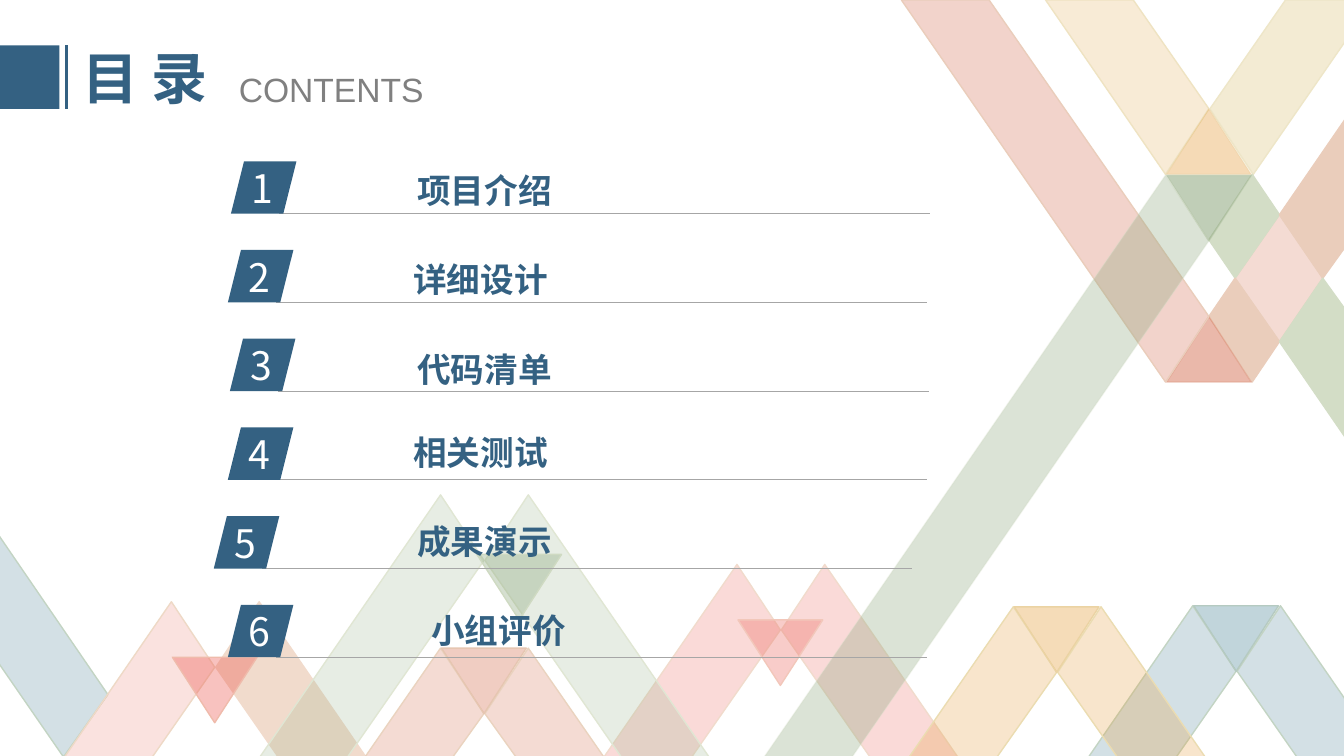
import pptx
import pptx.dml.color
import pptx.enum.shapes
import pptx.enum.text
import pptx.oxml
import pptx.oxml.ns
import pptx.util

Align = pptx.enum.text.PP_ALIGN
Anchor = pptx.enum.text.MSO_ANCHOR
Shape = pptx.enum.shapes.MSO_SHAPE
rgb = pptx.dml.color.RGBColor.from_string

NAVY = rgb("346182")
WHITE = rgb("FFFFFF")
GREY = rgb("808080")
RULE_GREY = rgb("A6A6A6")
SALMON = rgb("EE8F82")
CORAL = rgb("ED6F65")
RED = rgb("ED5249")
RUST = rgb("D57053")
AMBER = rgb("E7B05E")
ORANGE = rgb("E49B35")
MOSS = rgb("88A378")
FERN = rgb("89A67A")
SAGE = rgb("A2B894")
TEAL = rgb("508799")
BEIGE = rgb("F1DBCC")
SAND = rgb("EED9C6")
CREAM = rgb("EFE3C2")
CREAM_EDGE = rgb("EEE6C8")
PEACH = rgb("EACDBB")
RUST_EDGE = rgb("EAD3BF")
RUST_CAP_EDGE = rgb("E6C6B1")
RUST_PEAK_EDGE = rgb("DF9B83")
CORAL_CAP_EDGE = rgb("F2C7BA")
RED_CAP_EDGE = rgb("EFBBAB")
ORANGE_EDGE = rgb("EBDCB1")
ORANGE_CAP_EDGE = rgb("EBD3A3")
ORANGE_PEAK_EDGE = rgb("EBD09D")
MINT = rgb("D3DDC6")
MOSS_CAP_EDGE = rgb("B3C4A5")
FERN_CAP_EDGE = rgb("CFDAC2")
SAGE_EDGE = rgb("E0E6D3")
TEAL_EDGE = rgb("C3D4C3")
TEAL_CAP_EDGE = rgb("B5CAC1")

LEAN = 0.69
BAND = 87
BLEED = 1335
CROSS_X, CROSS_Y = 1156, 276

PEAKS = [
    (170, 597, 754, (SALMON, 25, SAND), (BEIGE, 100, BEIGE), (RED, 35, RED_CAP_EDGE), 1, 55),
    (731, 560, 754, (CORAL, 25, BEIGE), (CORAL, 25, BEIGE), (CORAL, 35, CORAL_CAP_EDGE), 1, 55),
    (437, 491, 755, (SAGE, 25, SAGE_EDGE), (SAGE, 25, SAGE_EDGE), (FERN, 35, FERN_CAP_EDGE), 36, 59),
    (437, 643, 754, (RUST, 25, RUST_EDGE), (RUST, 25, RUST_EDGE), (RUST, 35, RUST_CAP_EDGE), 1, 0),
    (1183, 601, 752, (TEAL, 25, TEAL_EDGE), (TEAL, 25, TEAL_EDGE), (TEAL, 35, TEAL_CAP_EDGE), 1, 0),
    (1005, 602, 755, (ORANGE, 25, ORANGE_EDGE), (ORANGE, 25, ORANGE_EDGE), (ORANGE, 35, ORANGE_CAP_EDGE), 1, 0),
]

CHAPTERS = [
    ("项目介绍", 229, 404, 4, None),
    ("详细设计", 226, 400, 4, None),
    ("代码清单", 228, 404, -15, 1.5),
    ("相关测试", 226, 400, 0, None),
    ("成果演示", 212, 404, 0, None),
    ("小组评价", 226, 418, 0, None),
]


class ContentsSlide:
    """Draws the elements of the contents slide in one shared style."""

    PX = 9144
    CJK = "Noto Sans CJK SC"
    LATIN = "Arial"

    def __init__(self, deck):
        self.slide = deck.slides.add_slide(deck.slide_layouts[6])
        self.canvas = self.slide.shapes

    def px(self, *lengths):
        return [pptx.util.Emu(length * self.PX) for length in lengths]

    def paint(self, fill, color, opacity=100):
        fill.solid()
        fill.fore_color.rgb = color
        if opacity < 100:
            tint = fill._xPr.find(".//" + pptx.oxml.ns.qn("a:srgbClr"))
            tint.append(pptx.oxml.parse_xml(
                f'<a:alpha {pptx.oxml.ns.nsdecls("a")} val="{opacity * 1000}"/>'))

    def ribbon(self, corners, color, opacity, edge, edge_opacity=100):
        outline = self.canvas.build_freeform(*corners[0], scale=float(self.PX))
        outline.add_line_segments(corners[1:], close=True)
        band = outline.convert_to_shape()
        band.shadow.inherit = False
        self.paint(band.fill, color, opacity)
        band.line.width = pptx.util.Pt(1)
        self.paint(band.line.fill, edge, edge_opacity)

    def leg(self, x, y, end, side, *style):
        turn = 1 if end > y else -1
        foot = round(x + side * LEAN * abs(end - y))
        corners = [(x, y), (x - side * 43, y + turn * 65), (foot - side * BAND, end)]
        if foot > BLEED:
            corners += [(BLEED, end), (BLEED, round(y + turn * (BLEED - x) / LEAN))]
        else:
            corners.append((foot, end))
        self.ribbon(corners, *style)

    def cap(self, left, base, turn, *style):
        self.ribbon([(left, base), (left + 84, base), (left + 42, base + turn * 65)], *style)

    def peak(self, x, top, bottom, left_style, right_style, cap_style, cap_shift, cap_drop):
        self.leg(x, top, bottom, -1, *left_style)
        self.leg(x + BAND, top, bottom, 1, *right_style)
        self.cap(x + cap_shift, top + cap_drop, 1, *cap_style)

    def cross(self):
        middle, upper, lower = CROSS_Y, CROSS_Y - 103, CROSS_Y + 103
        inner, hub, outer = CROSS_X + 69, CROSS_X + 113, CROSS_X + 156
        self.leg(CROSS_X, upper, 0, -1, AMBER, 25, CREAM)
        self.leg(CROSS_X + BAND, upper, 0, 1, CREAM, 71, CREAM_EDGE)
        self.ribbon([(hub, middle - 63), (outer, middle), (hub, middle + 63), (inner, middle)],
                    RUST, 25, RUST_EDGE)
        for turn, near, far in ((-1, MINT, PEACH), (1, PEACH, MINT)):
            self.ribbon([(CROSS_X + 86, middle + turn * 103), (hub, middle + turn * 63),
                         (inner, middle), (CROSS_X + 43, middle + turn * 38)], near, 100, near)
            self.ribbon([(BLEED, middle + turn * 159), (BLEED, middle + turn * 32),
                         (outer, middle), (hub, middle + turn * 63)], far, 100, far)
        self.cap(CROSS_X + 1, lower, -1, RUST, 49, RUST_PEAK_EDGE, 49)
        self.cap(CROSS_X + 1, upper, -1, ORANGE, 36, ORANGE_PEAK_EDGE, 36)
        self.cap(CROSS_X + 1, upper + 1, 1, MOSS, 53, MOSS_CAP_EDGE, 53)
        self.leg(CROSS_X, lower, 0, -1, RUST, 30, PEACH)
        self.leg(CROSS_X, upper + 1, 754, -1, MOSS, 30, MINT, 30)

    def block(self, kind, left, top, width, height):
        block = self.canvas.add_shape(kind, *self.px(left, top, width, height))
        block.shadow.inherit = False
        self.paint(block.fill, NAVY)
        block.line.fill.background()

    def rule(self, x1, y1, x2, y2, color, weight):
        rule = self.canvas.add_connector(pptx.enum.shapes.MSO_CONNECTOR.STRAIGHT, *self.px(x1, y1, x2, y2))
        rule.line.width = pptx.util.Pt(weight)
        self.paint(rule.line.fill, color)
        rule._element.spPr.append(pptx.oxml.parse_xml(f'<a:effectLst {pptx.oxml.ns.nsdecls("a")}/>'))

    def text(self, words, left, top, width, height, size, color, font=CJK, bold=False,
             align=Align.LEFT, anchor=Anchor.TOP, wrap=True, spacing=None):
        box = self.canvas.add_textbox(*self.px(left, top, width, height))
        frame = box.text_frame
        frame.word_wrap = wrap
        frame.auto_size = pptx.enum.text.MSO_AUTO_SIZE.SHAPE_TO_FIT_TEXT
        frame.vertical_anchor = anchor
        line = frame.paragraphs[0]
        line.alignment = align
        line.line_spacing = spacing
        run = line.add_run()
        run.text = words
        run.font.size = pptx.util.Pt(size)
        run.font.bold = bold
        run.font.color.rgb = color
        run.font.name = font
        east_asian = pptx.oxml.parse_xml(f'<a:ea {pptx.oxml.ns.nsdecls("a")} typeface="{font}"/>')
        run.font._element.find(pptx.oxml.ns.qn("a:latin")).addnext(east_asian)

    def badge(self, number, left, top):
        self.canvas = self.slide.shapes.add_group_shape().shapes
        self.rule(left + 48, top + 52, left + 693, top + 52, RULE_GREY, 0.5)
        self.block(Shape.PARALLELOGRAM, left, top, 65, 52)
        self.text(str(number), left, top - 2, 63, 57, 28, WHITE, align=Align.CENTER)
        self.canvas = self.slide.shapes


def main():
    deck = pptx.Presentation()
    deck.slide_width = pptx.util.Inches(13.33)
    deck.slide_height = pptx.util.Inches(7.5)
    contents = ContentsSlide(deck)
    contents.ribbon([(-4, 527), (107, 689), (63, 751), (-4, 654)], TEAL, 25, TEAL_EDGE)
    for peak in PEAKS:
        contents.peak(*peak)
    contents.cross()
    contents.block(Shape.RECTANGLE, 0, 45, 59, 63)
    contents.rule(66, 45, 66, 108, NAVY, 2.25)
    contents.text("目 录", 72, 38, 154, 77, 40, NAVY, bold=True, anchor=Anchor.MIDDLE)
    contents.text("CONTENTS", 227, 63, 250, 50, 24, GREY, font=contents.LATIN)
    for index, (chapter, left, label_left, label_drop, spacing) in enumerate(CHAPTERS):
        top = 160 + 88 * index
        contents.badge(index + 1, left, top)
        contents.text(chapter, label_left, top + label_drop, 153, 71 if spacing else 50, 24, NAVY,
                      bold=True, align=Align.CENTER, wrap=False, spacing=spacing)
    deck.save("out.pptx")


if __name__ == "__main__":
    main()
